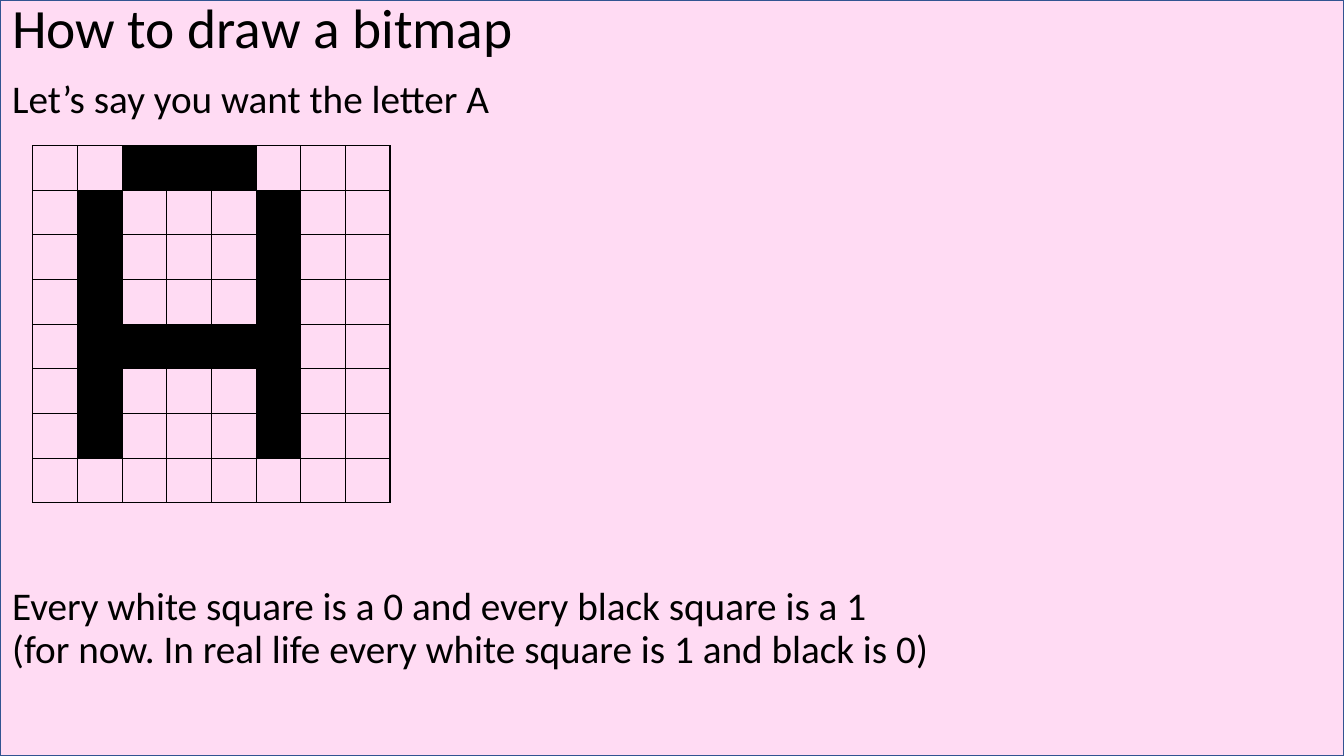
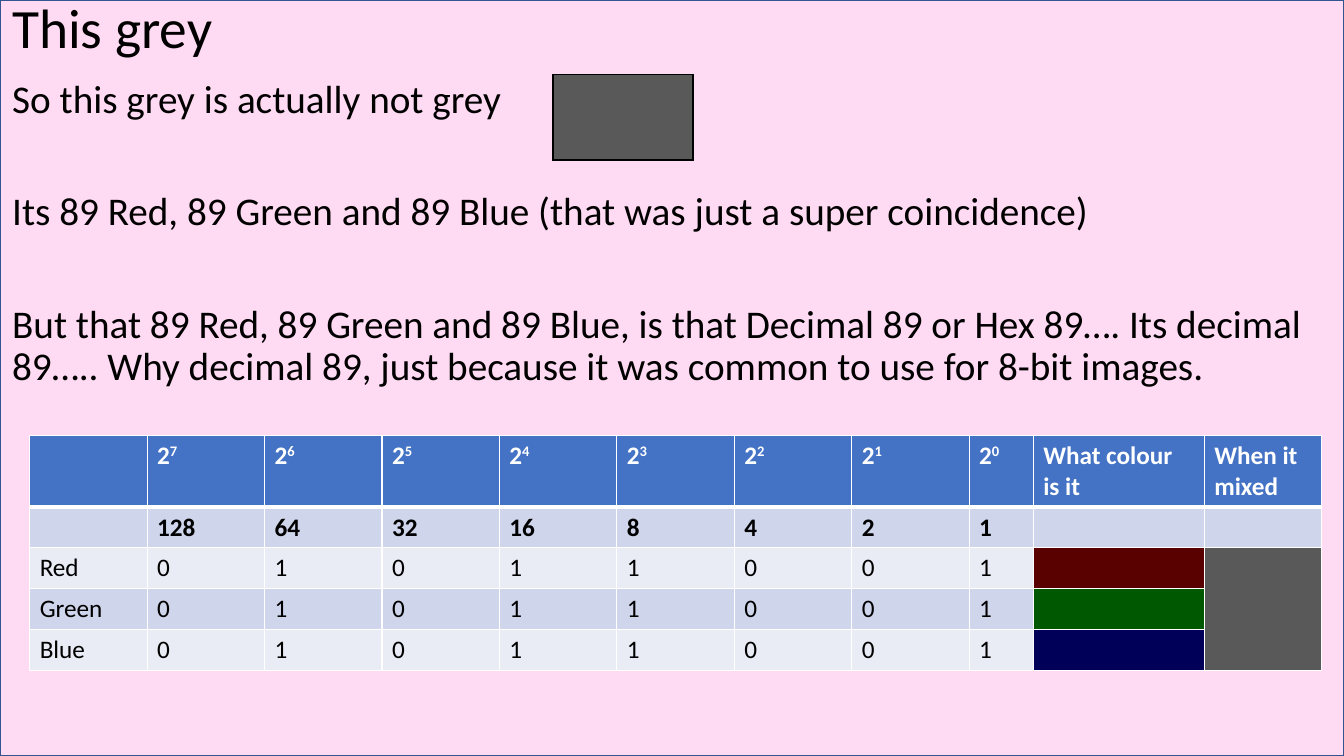
from dataclasses import dataclass

from lxml import etree
from pptx import Presentation
from pptx.dml.color import RGBColor
from pptx.enum.shapes import MSO_SHAPE
from pptx.enum.text import MSO_ANCHOR, MSO_AUTO_SIZE, PP_ALIGN
from pptx.oxml.ns import qn
from pptx.util import Pt

RECTANGLE = MSO_SHAPE.RECTANGLE
MIDDLE, TOP = MSO_ANCHOR.MIDDLE, MSO_ANCHOR.TOP
LEFT = PP_ALIGN.LEFT
NO_AUTOFIT = MSO_AUTO_SIZE.NONE


@dataclass(frozen=True)
class Theme:
    font: str = "Calibri"
    title_size: float = 39.6
    body_size: float = 28
    table_size: float = 18
    line_spacing: float = 0.9
    black: str = "000000"
    white: str = "FFFFFF"
    backdrop: str = "FF8AD8"
    backdrop_alpha: int = 30
    backdrop_line: str = "325491"
    header: str = "4472C4"
    bands: tuple = ("CFD5EA", "E9EBF5")
    grey: str = "595959"


THEME = Theme()
SLIDE_W, SLIDE_H = 960, 540

# Content: body lines are (space before, text)
BITMAP_TITLE = "How to draw a bitmap"
BITMAP_BODY = [
    (0, "Let’s say you want the letter A"),
    (332, "Every white square is a 0 and every black square is a 1\v"
          "(for now. In real life every white square is 1 and black is 0)"),
]
LETTER_A = [
    "00111000",
    "01000100",
    "01000100",
    "01000100",
    "01111100",
    "01000100",
    "01000100",
    "00000000",
]

GREY_TITLE = "This grey"
GREY_BODY = [
    (0, "So this grey is actually not grey"),
    (50, "Its 89 Red, 89 Green and 89 Blue (that was just a super coincidence)"),
    (50, "But that 89 Red, 89 Green and 89 Blue, is that Decimal 89 or Hex 89…. "
         "Its decimal 89….. Why decimal 89, just because it was common to use "
         "for 8-bit images."),
]
POWERS = range(7, -1, -1)
LEVEL = 89
CHANNELS = [("Red", "590000"), ("Green", "005900"), ("Blue", "000059")]
RESULT_HEADINGS = ["What colour is it", "When it mixed"]


def rgb(hex_code):
    return RGBColor.from_string(hex_code)


def style_font(paragraph, size, color=THEME.black, bold=False):
    font = paragraph.font
    font.name, font.size, font.bold = THEME.font, Pt(size), bold
    font.color.rgb = rgb(color)


def prepare_layout(layout):
    """Place the shared title and body areas."""
    for placeholder, top, height, anchor in (
        (layout.placeholders[0], 0, 43.2, MIDDLE),
        (layout.placeholders[1], 53.3, 486.7, TOP),
    ):
        placeholder.left, placeholder.top = Pt(1.5), Pt(top)
        placeholder.width, placeholder.height = Pt(SLIDE_W - 1.5), Pt(height)
        placeholder.text_frame.vertical_anchor = anchor


def add_backdrop(slide):
    """Draw the tinted backdrop and move it to the slide's layout."""
    backdrop = slide.shapes.add_shape(RECTANGLE, 0, 0, Pt(SLIDE_W), Pt(SLIDE_H))
    backdrop.shadow.inherit = False
    backdrop.fill.solid()
    backdrop.fill.fore_color.rgb = rgb(THEME.backdrop)
    tint = backdrop.fill._xPr.find(".//" + qn("a:srgbClr"))
    etree.SubElement(tint, qn("a:alpha"), val=str(THEME.backdrop_alpha * 1000))
    backdrop.line.color.rgb = rgb(THEME.backdrop_line)
    backdrop.line.width = Pt(1)
    slide.slide_layout.shapes._spTree.insert(2, backdrop._element)


def add_text_slide(prs, layout, title, body_lines):
    slide = prs.slides.add_slide(layout)
    title_frame = slide.shapes.title.text_frame
    title_frame.auto_size = NO_AUTOFIT
    heading = title_frame.paragraphs[0]
    heading.text = title
    heading.alignment, heading.line_spacing = LEFT, THEME.line_spacing
    style_font(heading, THEME.title_size)

    body = slide.placeholders[1].text_frame
    body.auto_size = NO_AUTOFIT
    for index, (gap, text) in enumerate(body_lines):
        line = body.add_paragraph() if index else body.paragraphs[0]
        line.text = text
        properties = line._p.get_or_add_pPr()
        properties.set("marL", "0")
        properties.set("indent", "0")
        etree.SubElement(properties, qn("a:buNone"))
        line.space_before, line.line_spacing = Pt(gap), THEME.line_spacing
        style_font(line, THEME.body_size)
    return slide


def add_plain_table(slide, left, top, widths, heights):
    table = slide.shapes.add_table(
        len(heights), len(widths), Pt(left), Pt(top),
        Pt(sum(widths)), Pt(sum(heights))).table
    table.first_row = table.horz_banding = False
    for column, width in zip(table.columns, widths):
        column.width = Pt(width)
    for row, height in zip(table.rows, heights):
        row.height = Pt(height)
    return table


def paint_cell(cell, fill, border, bottom=1):
    """Borders go in before the fill, as the file format orders them."""
    properties = cell._tc.get_or_add_tcPr()
    for side, width in (("L", 1), ("R", 1), ("T", 1), ("B", bottom)):
        edge = etree.SubElement(properties, qn("a:ln" + side), w=str(Pt(width)))
        solid = etree.SubElement(edge, qn("a:solidFill"))
        etree.SubElement(solid, qn("a:srgbClr"), val=border)
    if fill:
        cell.fill.solid()
        cell.fill.fore_color.rgb = rgb(fill)
    else:
        cell.fill.background()


def add_letter_grid(slide):
    square = 31.9
    sides = [square] * len(LETTER_A)
    grid = add_plain_table(slide, 23.5, 104, sides, sides)
    for r, bits in enumerate(LETTER_A):
        for c, bit in enumerate(bits):
            paint_cell(grid.cell(r, c), THEME.black if bit == "1" else None,
                       THEME.black)


def add_grey_swatch(slide):
    swatch = add_plain_table(slide, 395, 53.3, [100], [61])
    paint_cell(swatch.cell(0, 0), THEME.grey, THEME.black)


def add_bits_table(slide):
    bits = [str(LEVEL >> power & 1) for power in POWERS]
    rows = [
        ["", *[("2", str(power)) for power in POWERS], *RESULT_HEADINGS],
        ["", *[str(2 ** power) for power in POWERS], "", ""],
        *[[name, *bits, "", ""] for name, _ in CHANNELS],
    ]
    widths = [83.9] * 8 + [45.8, 122.2, 83.9]
    table = add_plain_table(slide, 21.2, 311, widths, [51] + [29.2] * 4)
    color_col = len(widths) - 2
    mixed_col = color_col + 1

    for r, values in enumerate(rows):
        is_header = r == 0
        for c, value in enumerate(values):
            fill = THEME.header if is_header else THEME.bands[(r - 1) % 2]
            if r >= 2 and c == color_col:
                fill = CHANNELS[r - 2][1]
            elif r >= 2 and c == mixed_col:
                fill = THEME.grey
            cell = table.cell(r, c)
            paint_cell(cell, fill, THEME.white, 3 if is_header else 1)
            paragraph = cell.text_frame.paragraphs[0]
            if isinstance(value, tuple):
                base, exponent = value
                paragraph.add_run().text = base
                raised = paragraph.add_run()
                raised.text = exponent
                raised._r.get_or_add_rPr().set("baseline", "30000")
            else:
                paragraph.text = value
            style_font(paragraph, THEME.table_size,
                       THEME.white if is_header else THEME.black, bold=r < 2)
    table.cell(2, mixed_col).merge(table.cell(len(rows) - 1, mixed_col))


def main():
    prs = Presentation()
    prs.slide_width, prs.slide_height = Pt(SLIDE_W), Pt(SLIDE_H)
    layout = prs.slide_layouts[1]
    prepare_layout(layout)

    # Letter drawn as a grid of bits
    bitmap_slide = add_text_slide(prs, layout, BITMAP_TITLE, BITMAP_BODY)
    add_backdrop(bitmap_slide)
    add_letter_grid(bitmap_slide)

    # Grey split into its colour channels
    grey_slide = add_text_slide(prs, layout, GREY_TITLE, GREY_BODY)
    add_grey_swatch(grey_slide)
    add_bits_table(grey_slide)

    prs.save("out.pptx")


if __name__ == "__main__":
    main()
